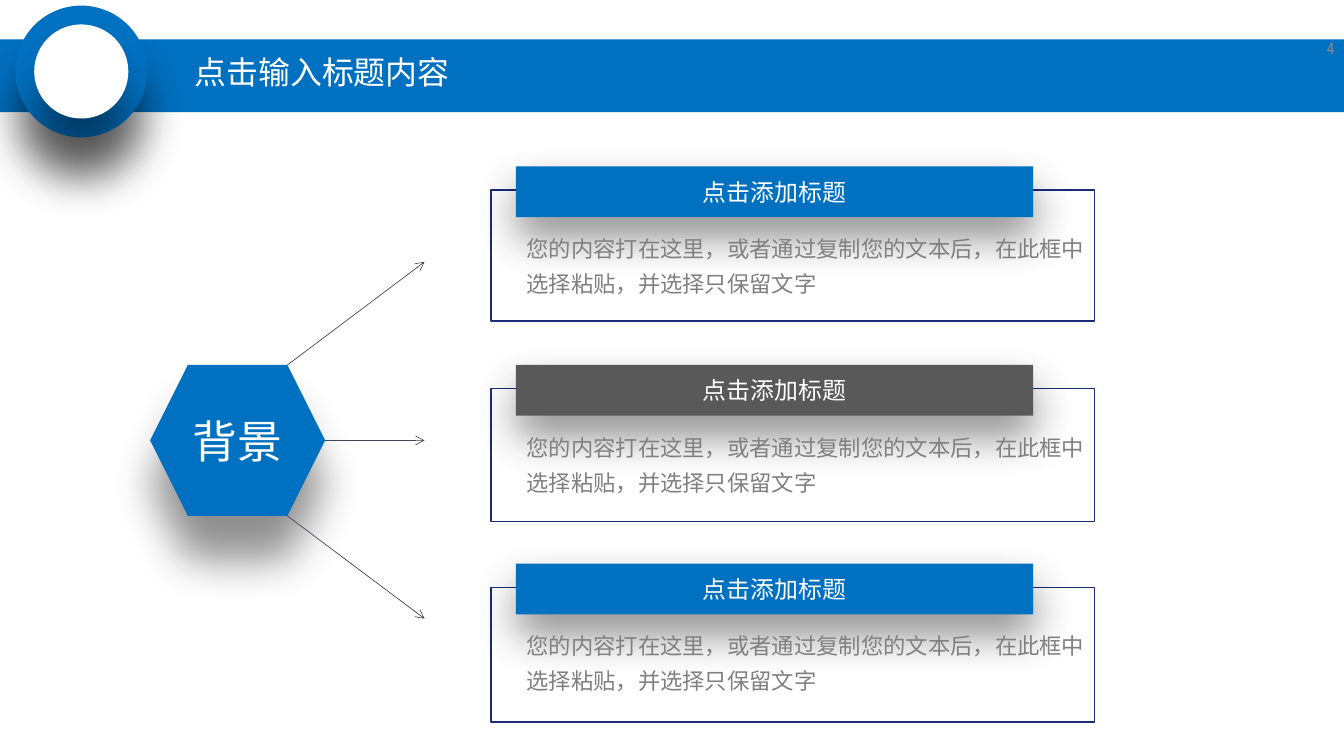
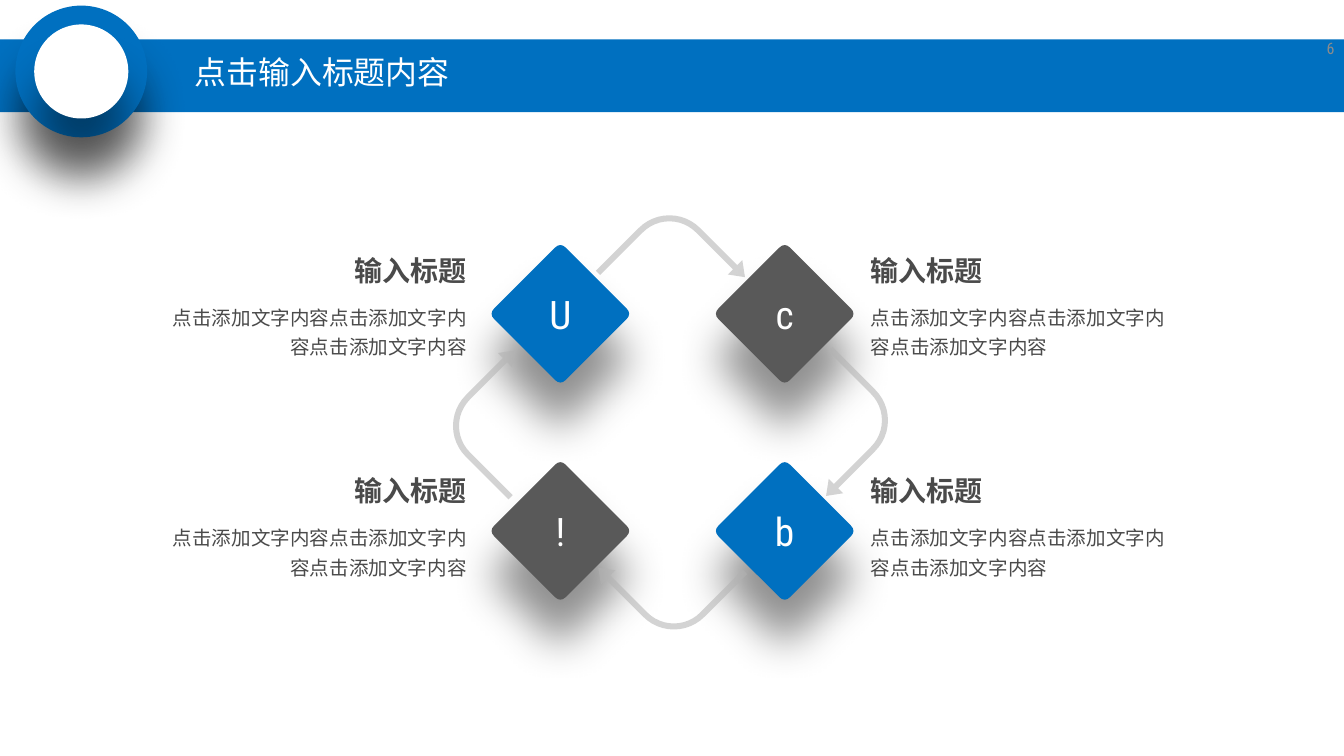
from pptx import Presentation
from pptx.dml.color import RGBColor
from pptx.enum.lang import MSO_LANGUAGE_ID
from pptx.enum.shapes import MSO_CONNECTOR, MSO_SHAPE
from pptx.enum.text import MSO_ANCHOR, MSO_AUTO_SIZE, PP_ALIGN
from pptx.oxml.ns import qn
from pptx.util import Cm, Pt
from lxml import etree

RECT, OVAL = MSO_SHAPE.RECTANGLE, MSO_SHAPE.OVAL
HEX, BENT = MSO_SHAPE.HEXAGON, MSO_SHAPE.BENT_ARROW
LEFT, MID, RIGHT = PP_ALIGN.LEFT, PP_ALIGN.CENTER, PP_ALIGN.RIGHT
TOP, MIDDLE = MSO_ANCHOR.TOP, MSO_ANCHOR.MIDDLE
STRAIGHT, FIXED = MSO_CONNECTOR.STRAIGHT, MSO_AUTO_SIZE.NONE
CHINESE = MSO_LANGUAGE_ID.SIMPLIFIED_CHINESE

FONT = "Roboto Condensed"
BLUE, GREY, WHITE = "0070C0", "595959", "FFFFFF"
NAVY, SLATE, SILVER = "1A2B78", "414455", "B2B2B2"
WIDTH, HEIGHT = 35.71, 20.09
TITLE = "点击输入标题内容"
CARD = "点击添加标题"
BODY = "您的内容打在这里，或者通过复制您的文本后，在此框中选择粘贴，并选择只保留文字"
NOTE = "输入标题"
MORE = "点击添加文字内容" * 3


def ink(code):
    return RGBColor.from_string(code)


def apply(item, values):
    for name, value in values.items():
        setattr(item, name, value)


def sub(parent, tag, **values):
    return etree.SubElement(parent, qn(tag), **values)


def write(shape, lines, align=LEFT, anchor=MIDDLE, pad=0.25):
    frame = shape.text_frame
    apply(frame, {"word_wrap": True, "auto_size": FIXED,
                  "vertical_anchor": anchor,
                  "margin_left": Cm(pad), "margin_right": Cm(pad),
                  "margin_top": Cm(0.13), "margin_bottom": Cm(0.13)})
    for i, (text, size, color, bold, form) in enumerate(lines):
        para = frame.add_paragraph() if i else frame.paragraphs[0]
        apply(para, {"alignment": align, **form})
        run = para.add_run()
        run.text = text
        apply(run.font, {"name": FONT, "size": Pt(size), "bold": bold,
                         "language_id": CHINESE})
        run.font.color.rgb = ink(color)


def label(slide, box, lines, **form):
    shape = slide.shapes.add_textbox(*map(Cm, box))
    write(shape, lines, **form)


def paint(shape, fill=None, line=None, depth=None, blur=33):
    shape.shadow.inherit = False
    if fill:
        shape.fill.solid()
        shape.fill.fore_color.rgb = ink(fill)
    else:
        shape.fill.background()
    if line:
        shape.line.color.rgb = ink(line)
        shape.line.width = Pt(1)
    else:
        shape.line.fill.background()
    if depth:
        effect = shape.element.spPr.find(qn("a:effectLst"))
        cast = sub(effect, "a:outerShdw", blurRad=str(Pt(blur)),
                   dist=str(Pt(depth)), dir="5400000", algn="t",
                   rotWithShape="0")
        sub(sub(cast, "a:srgbClr", val="000000"), "a:alpha", val="43000")
    return shape


def draw(slide, kind, box, **form):
    return paint(slide.shapes.add_shape(kind, *map(Cm, box)), **form)


def banner(slide, layout, box):
    x, y, w, h = box
    cx, cy = x + 2.16, y + 0.85
    parts = [draw(slide, RECT, box, fill=BLUE)]
    for size, color in ((3.5, BLUE), (2.5, WHITE)):
        spot = (cx - size / 2, cy - size / 2, size, size)
        parts.append(draw(slide, OVAL, spot, fill=color, depth=33))
    for part in parts:
        layout.shapes.element.append(part.element)


def head(slide, box, number):
    x, y, w, h = box
    title = slide.shapes.title
    apply(title, {"left": Cm(x + 4.92), "top": Cm(y + 0.21),
                  "width": Cm(8.82), "height": Cm(1.4)})
    write(title, [(TITLE, 24, WHITE, False, {"line_spacing": 0.9})])
    label(slide, (x + w - 1.75, y - 0.31, 1.75, 1.07),
          [(number, 12, "8C8C8C", False, {})], align=RIGHT)


def card(slide, box, color):
    x, y, w, h = box
    draw(slide, RECT, box, line=NAVY)
    tab = draw(slide, RECT, (x + 0.66, y - 0.63, 13.74, 1.35),
               fill=color, depth=15)
    write(tab, [(CARD, 18, WHITE, False, {})], align=MID, pad=0.28)
    label(slide, (x + 0.66, y + 0.86, w - 0.1, 2.06),
          [(BODY, 16.8, "808080", False, {"line_spacing": 1.3})],
          anchor=TOP, pad=0.28)


def hub(slide, box):
    x, y, w, h = box
    core = draw(slide, HEX, box, fill=BLUE, depth=33)
    write(core, [("背景", 33.8, WHITE, False, {})], align=MID, pad=0.28)
    edge = x + w - h / 4
    for x1, y1, rise in ((edge, y, -2.74), (x + w, y + h / 2, 0),
                         (edge, y + h, 2.73)):
        ray = slide.shapes.add_connector(
            STRAIGHT, *map(Cm, (x1, y1, x + 7.29, y1 + rise)))
        ray.line.color.rgb = ink(SLATE)
        ray.line.width = Pt(0.5)
        props = ray.element.spPr
        sub(props.find(qn("a:ln")), "a:tailEnd", type="arrow")
        sub(props, "a:effectLst")


def gem(slide, x, y, text, color):
    tip, base, cut, near = 1.85, 1.76, 0.14, 0.05
    dots = []
    for dx, dy in ((0, -1), (1, 0), (0, 1), (-1, 0)):
        for side, out in ((-cut, base), (-near, tip),
                          (near, tip), (cut, base)):
            dots.append((Cm(x + dx * out - dy * side),
                         Cm(y + dy * out + dx * side)))
    trace = slide.shapes.build_freeform(*dots[0], scale=1.0)
    trace.add_line_segments(dots[1:], close=True)
    shape = paint(trace.convert_to_shape(), fill=color, depth=33)
    legs = list(shape.element.spPr.iter(qn("a:lnTo")))
    for i in range(0, len(legs), 4):
        curve = etree.Element(qn("a:cubicBezTo"))
        legs[i].addprevious(curve)
        for leg in legs[i:i + 3]:
            curve.append(leg[0])
            leg.getparent().remove(leg)
    write(shape, [(text, 29.6, WHITE, False, {})], align=MID)


def bend(slide, x, y, turn):
    w, h = 2.92, 2.95
    shape = draw(slide, BENT, (x - w / 2, y - h / 2, w, h), fill=SILVER)
    shape.rotation = turn
    for i, value in enumerate((0.055, 0.093, 0.127, 0.395)):
        shape.adjustments[i] = value
    tint = shape.element.spPr.find(".//" + qn("a:srgbClr"))
    sub(tint, "a:alpha", val="56000")


def ring(slide, box):
    x, y, w, h = box
    cx, cy = x + w / 2, y + h / 2
    turns = ((0.04, -4.04), (4.26, 0.07), (-0.09, 4.04), (-4.37, -0.03))
    bends = [(cx + dx, cy + dy, 45 + 90 * i)
             for i, (dx, dy) in enumerate(turns)]
    bend(slide, *bends[0])
    for col, row, text, color in ((1, 1, "b", BLUE), (1, 0, "c", GREY),
                                  (0, 0, "U", BLUE), (0, 1, "!", GREY)):
        gem(slide, x + col * w, y + row * h, text, color)
    for spot in bends[1:]:
        bend(slide, *spot)


def note(slide, box, align):
    label(slide, box, [
        (NOTE, 21.1, "4A4A4A", True, {"line_spacing": Pt(18.8)}),
        (MORE, 14.75, "4A4A4A", False,
         {"line_spacing": 1.25, "space_before": Pt(10)}),
    ], align=align, anchor=TOP)


def main():
    deck = Presentation()
    apply(deck, {"slide_width": Cm(WIDTH), "slide_height": Cm(HEIGHT)})
    layout = deck.slide_layouts[5]
    bar = (0, 1.05, WIDTH, 1.93)
    first, second = [deck.slides.add_slide(layout) for _ in range(2)]
    banner(first, layout, bar)

    hub(first, (3.99, 9.7, 4.65, 4.01))
    for i, color in enumerate((BLUE, GREY, BLUE)):
        card(first, (13.05, 5.05 + 5.28 * i, 16.03, 3.48 + 0.05 * i), color)
    head(first, bar, "4")

    head(second, bar, "6")
    ring(second, (14.89, 8.34, 5.96, 5.77))
    for x, align in ((22.89, LEFT), (3.89, RIGHT)):
        for y in (6.83, 12.68):
            note(second, (x, y, 8.76, 2.82), align)
    deck.save("out.pptx")


if __name__ == "__main__":
    main()
